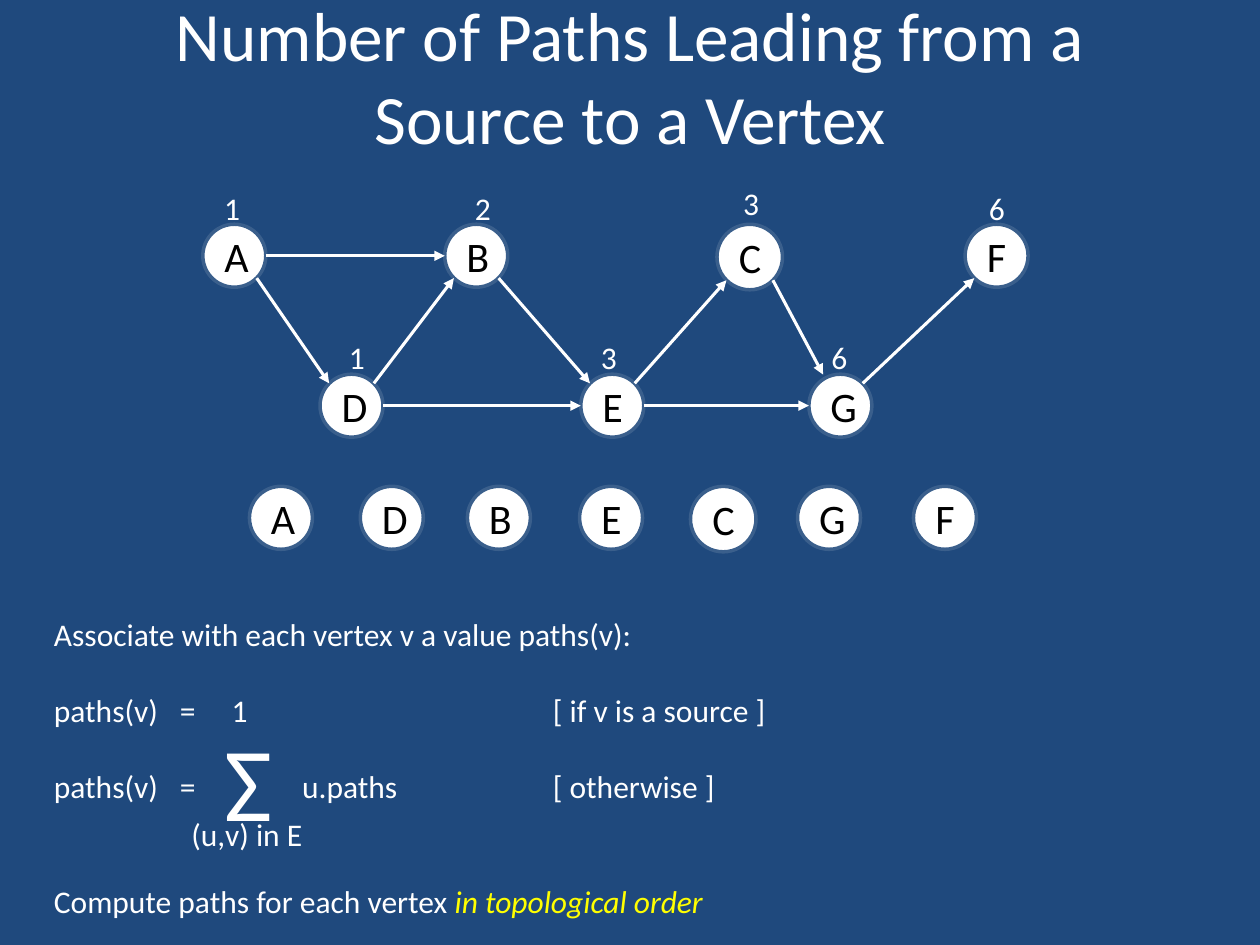
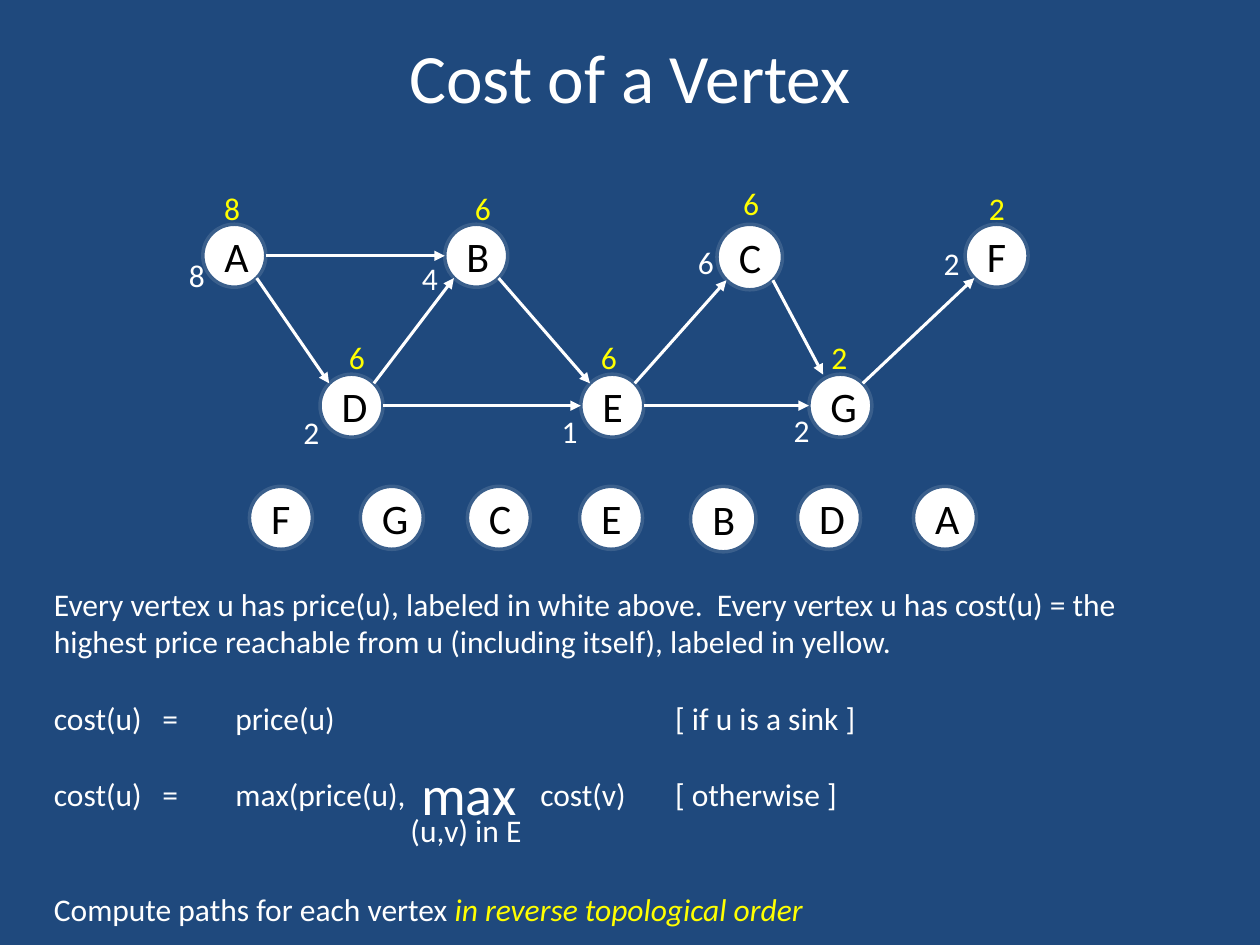
import collections

import lxml.etree
import pptx
import pptx.dml.color
import pptx.enum.shapes
import pptx.enum.text
import pptx.oxml.ns
import pptx.util

Inches, Pt = pptx.util.Inches, pptx.util.Pt
RGBColor = pptx.dml.color.RGBColor
qn = pptx.oxml.ns.qn

NAVY = RGBColor(0x1F, 0x49, 0x7D)
RIM = RGBColor(0x3A, 0x5F, 0x8C)
WHITE = RGBColor(0xFF, 0xFF, 0xFF)
BLACK = RGBColor(0, 0, 0)
YELLOW = RGBColor(0xFF, 0xFF, 0)
FONT = "Calibri"
LINE_GAP = 22  # one text line at 18 pt, in points

# Place in the graph box, diameter, and label offsets from the node's corner.
Node = collections.namedtuple("Node", "x y size top_label side_label")
NODES = {
    "A": Node(0, 0, 0.5, (0.07, -0.33), (-0.21, 0.20)),
    "B": Node(1.92, 0, 0.5, (0.14, -0.33), (-0.28, 0.23)),
    "C": Node(4.08, 0, 0.52, (0.11, -0.37), (-0.25, 0.10)),
    "D": Node(0.93, 1.19, 0.5, (0.13, -0.34), (-0.23, 0.26)),
    "E": Node(3.0, 1.19, 0.5, (0.06, -0.34), (-0.25, 0.25)),
    "F": Node(6.05, 0, 0.5, (0.09, -0.33), (-0.27, 0.11)),
    "G": Node(4.81, 1.19, 0.5, (0.08, -0.34), (-0.22, 0.24)),
}
EDGES = ["AB", "AD", "DB", "BE", "DE", "EC", "EG", "CG", "GF"]
END_NUDGE = {"CG": (0.04, -0.07)}
ORDER_SPOTS = [(0, 0.5), (0.88, 0.5), (1.73, 0.5), (2.62, 0.5),
               (3.5, 0.52), (4.35, 0.5), (5.27, 0.5)]


def style(r, size, color=WHITE, italic=None):
    """Format one run."""
    r.font.name = FONT
    r.font.size = Pt(size)
    r.font.color.rgb = color
    r.font.italic = italic


def add_title(s, text):
    """Fill and place the title placeholder."""
    sp = s.shapes.title
    sp.left, sp.top = Inches(0.5), Inches(0.21)
    sp.width, sp.height = Inches(9), Inches(0.78)
    tf = sp.text_frame
    tf.text = text
    tf.auto_size = pptx.enum.text.MSO_AUTO_SIZE.NONE
    tf.vertical_anchor = pptx.enum.text.MSO_ANCHOR.MIDDLE
    p = tf.paragraphs[0]
    p.alignment = pptx.enum.text.PP_ALIGN.CENTER
    style(p.runs[0], 39.6)


def add_label(s, x, y, w, h, text, size=18, color=WHITE, centred=False):
    """Add a one-line, unwrapped text box."""
    tf = s.shapes.add_textbox(Inches(x), Inches(y), Inches(w), Inches(h)).text_frame
    tf.word_wrap = False
    tf.text = text
    p = tf.paragraphs[0]
    if centred:
        p.alignment = pptx.enum.text.PP_ALIGN.CENTER
    style(p.runs[0], size, color)


def add_node(s, x, y, size, name):
    """Add a white vertex circle with its letter."""
    sp = s.shapes.add_shape(pptx.enum.shapes.MSO_SHAPE.OVAL,
                            Inches(x), Inches(y), Inches(size), Inches(size))
    sp.shadow.inherit = False
    sp.fill.solid()
    sp.fill.fore_color.rgb = WHITE
    sp.line.color.rgb = RIM
    sp.line.width = Pt(2)
    sp.text_frame.text = name
    p = sp.text_frame.paragraphs[0]
    p.alignment = pptx.enum.text.PP_ALIGN.CENTER
    style(p.runs[0], 24, BLACK)


def add_arrow(s, x1, y1, x2, y2):
    """Add a straight white arrow."""
    c = s.shapes.add_connector(pptx.enum.shapes.MSO_CONNECTOR.STRAIGHT,
                               Inches(x1), Inches(y1), Inches(x2), Inches(y2))
    c.line.color.rgb = WHITE
    c.line.width = Pt(1.75)
    ln = c.line._get_or_add_ln()
    lxml.etree.SubElement(ln, qn("a:tailEnd"), type="triangle")
    lxml.etree.SubElement(ln.getparent(), qn("a:effectLst"))


def rim_point(node, toward):
    """Return the point on a node's rim that faces another node."""
    r = node.size / 2
    dx = 1 if toward.x > node.x else -1
    dy = (toward.y > node.y) - (toward.y < node.y)
    reach = r * 0.71 if dy else r
    return node.x + r + dx * reach, node.y + r + dy * reach


def add_graph(s, left, top, values, value_color, prices=None):
    """Draw the graph with a value above each vertex and optional prices beside."""
    for name, node in NODES.items():
        add_node(s, left + node.x, top + node.y, node.size, name)
    for edge in EDGES:
        u, v = NODES[edge[0]], NODES[edge[1]]
        x1, y1 = rim_point(u, v)
        x2, y2 = rim_point(v, u)
        nx, ny = END_NUDGE.get(edge, (0, 0))
        add_arrow(s, left + x1, top + y1, left + x2 + nx, top + y2 + ny)
    for name, node in NODES.items():
        labels = [(node.top_label, values[name], value_color)]
        if prices:
            labels.append((node.side_label, prices[name], WHITE))
        for (dx, dy), text, color in labels:
            add_label(s, left + node.x + dx, top + node.y + dy,
                      0.33, 0.4, str(text), color=color)


def add_order(s, left, top, names):
    """Draw the vertices in processing order along one row."""
    for name, (x, size) in zip(names, ORDER_SPOTS):
        add_node(s, left + x, top, size, name)


def set_tabs(p, stops):
    """Give a paragraph left tab stops, in inches from the text edge."""
    tabs = lxml.etree.SubElement(p._p.get_or_add_pPr(), qn("a:tabLst"))
    for stop in stops:
        lxml.etree.SubElement(tabs, qn("a:tab"), pos=str(Inches(stop)), algn="l")


def add_explanation(s, left, top, height, intro, formulas, order):
    """Write the intro, the tabbed formulas and the closing line."""
    sp = s.shapes.add_textbox(Inches(left), Inches(top), Inches(9), Inches(height))
    tf = sp.text_frame
    tf.word_wrap = True
    tf.text = intro
    for parts, stops in formulas:
        p = tf.add_paragraph()
        p.space_before = Pt(LINE_GAP)
        set_tabs(p, stops)
        p.add_run().text = "\t".join(parts)
    p = tf.add_paragraph()
    p.space_before = Pt(2 * LINE_GAP)
    p.add_run().text = "Compute paths for each vertex "
    for par in tf.paragraphs:
        style(par.runs[0], 18)
    r = p.add_run()
    r.text = order
    style(r, 18, YELLOW, True)


def add_operator(s, left, top, width, height, text, size, range_at):
    """Add a large operator and the range written under it."""
    add_label(s, left, top, width, height, text, size, centred=True)
    add_label(s, *range_at, 1.1, 0.4, "(u,v) in E")


def new_slide(prs, title):
    """Add a slide with only a title."""
    s = prs.slides.add_slide(prs.slide_layouts[5])
    add_title(s, title)
    return s


def paths_slide(prs):
    """Build the slide that counts paths from a source."""
    s = new_slide(prs, "Number of Paths Leading from a Source to a Vertex")
    add_explanation(
        s, 0.33, 4.83, 3, "Associate with each vertex v a value paths(v):",
        [(["paths(v)", "=", "1", "[ if v is a source ]"], [1, 1.41, 3.96]),
         (["paths(v)", "=", "u.paths", "[ otherwise ]"], [1, 1.97, 3.96])],
        "in topological order")
    add_graph(s, 1.61, 1.78, dict(A=1, B=2, C=3, D=1, E=3, F=6, G=6), WHITE)
    add_order(s, 1.98, 3.86, "ADBECGF")
    add_operator(s, 1.58, 5.64, 0.78, 1.11, "Σ", 60, (1.42, 6.42))


def cost_slide(prs):
    """Build the slide that defines the cost of a vertex."""
    s = new_slide(prs, "Cost of a Vertex")
    add_explanation(
        s, 0.33, 4.59, 3.3,
        "Every vertex u has price(u), labeled in white above.  Every vertex u has "
        "cost(u) = the highest price reachable from u (including itself), "
        "labeled in yellow.",
        [(["cost(u)", "=", "price(u)", "[ if u is a sink ]"], [0.86, 1.44, 4.93]),
         (["cost(u)", "=", "max(price(u),", "cost(v)", "[ otherwise ]"],
          [0.86, 1.44, 3.86, 4.93])],
        "in reverse topological order")
    add_graph(s, 1.61, 1.78, dict(A=8, B=6, C=6, D=6, E=6, F=2, G=2), YELLOW,
              dict(A=8, B=4, C=6, D=2, E=1, F=2, G=2))
    add_order(s, 1.98, 3.86, "FGCEBDA")
    add_operator(s, 3.14, 5.98, 1.16, 0.64, "max", 32, (3.16, 6.39))


def main():
    """Build and save the presentation."""
    prs = pptx.Presentation()
    prs.slide_width, prs.slide_height = Inches(10), Inches(7.5)
    fill = prs.slide_master.background.fill
    fill.solid()
    fill.fore_color.rgb = NAVY
    paths_slide(prs)
    cost_slide(prs)
    prs.save("out.pptx")


main()
